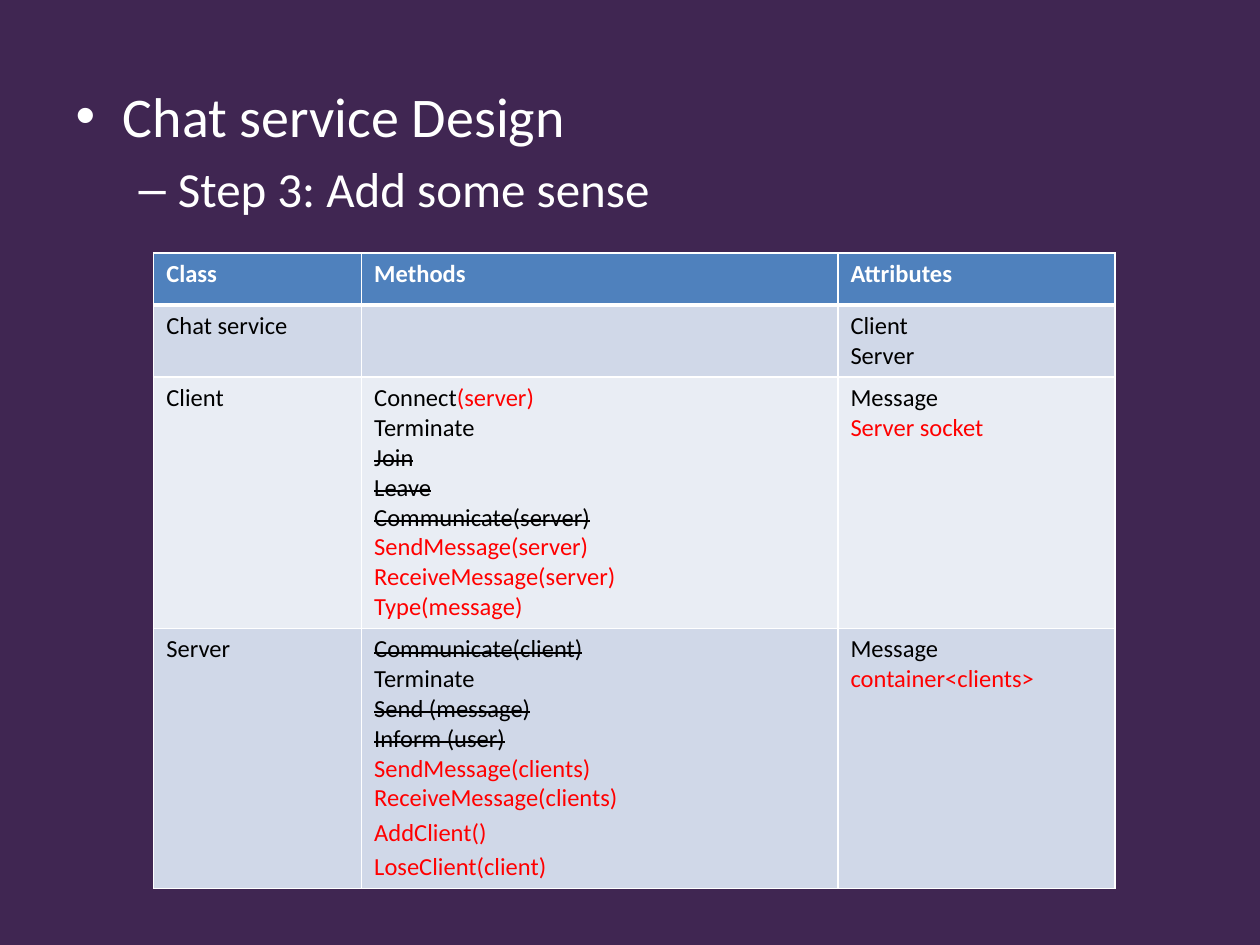
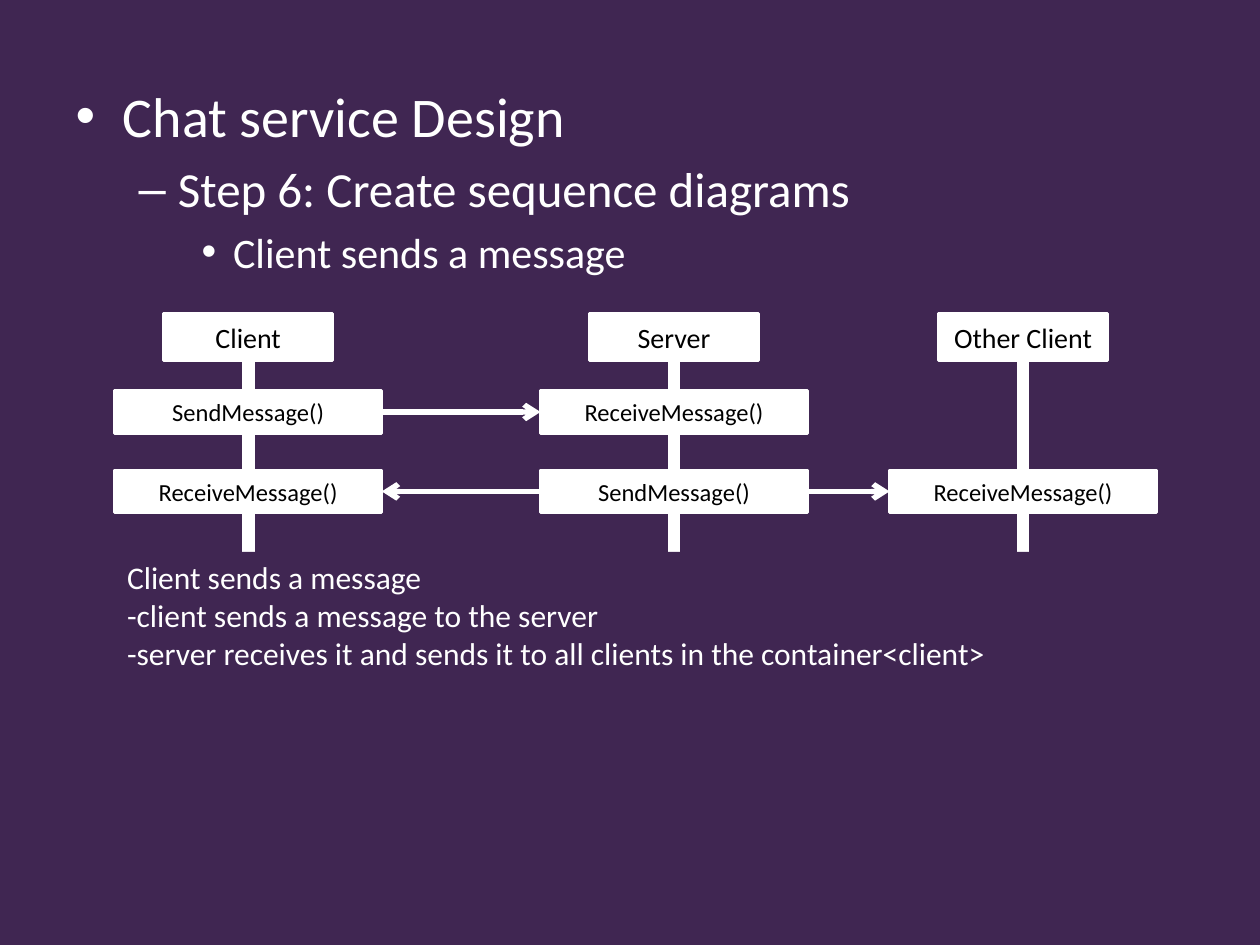
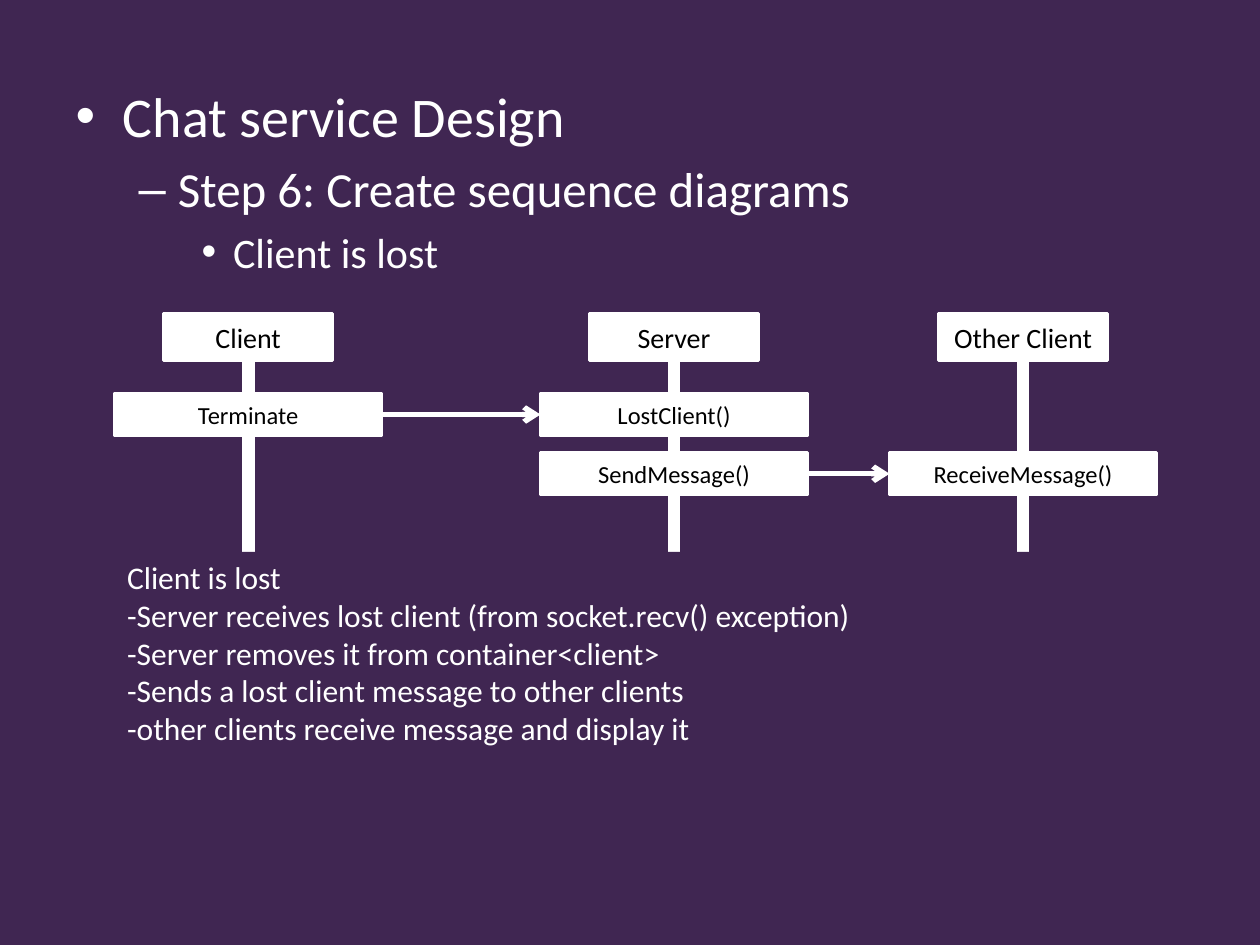
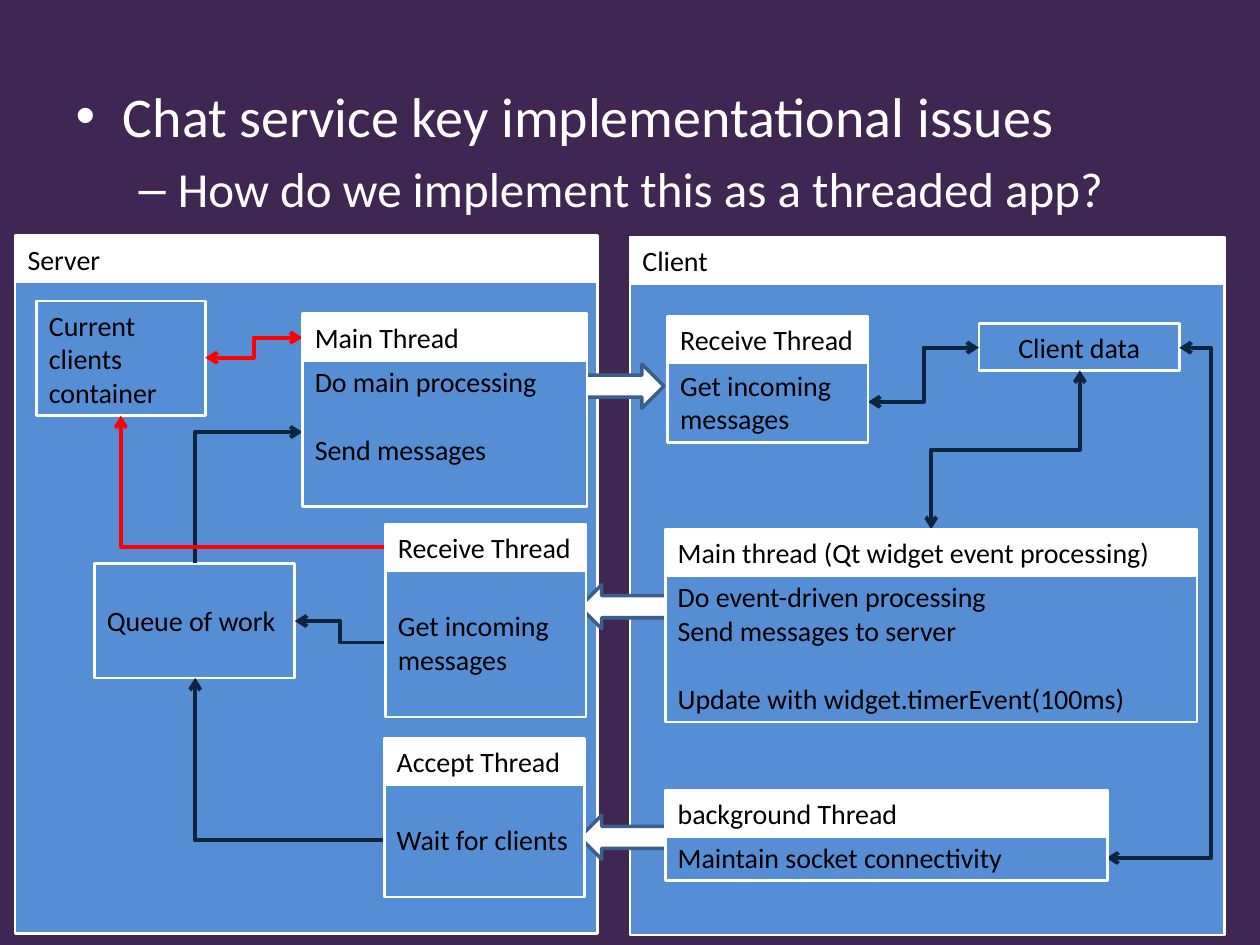
from dataclasses import dataclass

from pptx import Presentation
from pptx.dml.color import RGBColor
from pptx.enum.shapes import MSO_CONNECTOR, MSO_SHAPE
from pptx.enum.text import MSO_ANCHOR, PP_ALIGN
from pptx.oxml.ns import qn
from pptx.oxml.xmlchemy import OxmlElement
from pptx.util import Emu, Pt

EMU_PER_PX = 9144  # 100 px to the inch


@dataclass(frozen=True)
class Theme:
    font: str = "Calibri"
    background: str = "402652"
    white: str = "FFFFFF"
    black: str = "000000"
    red: str = "FF0000"
    navy: str = "0F243E"
    panel: str = "558ED5"
    arrow_edge: str = "3A5F8C"
    table_header: str = "4F81BD"
    table_bands: tuple[str, str] = ("D0D8E8", "E9EDF4")
    outline_sizes: tuple[int, int, int] = (32, 28, 24)
    description_size: int = 18
    label_size: int = 16
    small_size: int = 14
    blank_line: int = 20
    box_line: float = 1.5
    arrow_line: float = 3
    elbow_line: float = 2.25


THEME = Theme()


@dataclass(frozen=True)
class Span:
    text: str
    color: str = THEME.black
    struck: bool = False


@dataclass(frozen=True)
class Line:
    spans: tuple[Span, ...]
    spacing: float | None = None


@dataclass(frozen=True)
class Box:
    left: int
    top: int
    width: int
    height: int
    lines: tuple[str, ...] = ()
    fill: str = THEME.white
    line: str | None = THEME.white
    color: str = THEME.black
    size: int = THEME.label_size
    align: PP_ALIGN = PP_ALIGN.LEFT
    anchor: MSO_ANCHOR = MSO_ANCHOR.MIDDLE
    gap_line: int = 0  # index of the line set off by a gap, 0 for none


@dataclass(frozen=True)
class TitledBox:
    title: str
    left: int
    top: int
    width: int
    body_height: int
    lines: tuple[str, ...] = ()
    anchor: MSO_ANCHOR = MSO_ANCHOR.MIDDLE
    gap_line: int = 0
    body_offset: int = 35


@dataclass(frozen=True)
class Elbow:
    start: tuple[int, int]
    end: tuple[int, int]
    color: str = THEME.navy
    both_heads: bool = False
    corners: int = 2
    vertical_first: bool = False
    bend: float = 0.5


@dataclass(frozen=True)
class CallRow:
    top: int
    calls: dict[str, str]
    messages: tuple[tuple[str, str], ...]


@dataclass(frozen=True)
class BlockArrow:
    left: int
    top: int
    rotation: int = 0


def px(value: float) -> Emu:
    return Emu(round(value * EMU_PER_PX))


def rgb(color: str) -> RGBColor:
    return RGBColor.from_string(color)


def format_run(run, size: int, color: str, bold: bool = False) -> None:
    run.font.name = THEME.font
    run.font.size = Pt(size)
    run.font.color.rgb = rgb(color)
    run.font.bold = bold


def add_outline_slide(presentation, *outline: str):
    """Add a slide whose body holds one line per outline level."""
    slide = presentation.slides.add_slide(presentation.slide_layouts[1])
    title = slide.shapes.title._element
    title.getparent().remove(title)
    body = slide.placeholders[1]
    body.left, body.top, body.width, body.height = map(px, (50, 60, 900, 669))
    body.text_frame.text = "\n".join(outline)
    for level, paragraph in enumerate(body.text_frame.paragraphs):
        paragraph.level = level
        format_run(paragraph.runs[0], THEME.outline_sizes[level], THEME.white)
    return slide


def add_preset(slide, preset: MSO_SHAPE, bounds: tuple[int, ...], fill: str,
               line: str | None, line_width: float):
    shape = slide.shapes.add_shape(preset, *map(px, bounds))
    shape.shadow.inherit = False
    shape.fill.solid()
    shape.fill.fore_color.rgb = rgb(fill)
    if line:
        shape.line.color.rgb = rgb(line)
        shape.line.width = Pt(line_width)
    else:
        shape.line.fill.background()
    return shape


def add_box(slide, box: Box) -> None:
    bounds = (box.left, box.top, box.width, box.height)
    shape = add_preset(slide, MSO_SHAPE.RECTANGLE, bounds, box.fill, box.line,
                       THEME.box_line)
    if not box.lines:
        return
    text_frame = shape.text_frame
    text_frame.word_wrap = True
    text_frame.vertical_anchor = box.anchor
    text_frame.text = "\n".join(box.lines)
    for index, paragraph in enumerate(text_frame.paragraphs):
        paragraph.alignment = box.align
        if box.gap_line and index == box.gap_line:
            paragraph.space_before = Pt(THEME.blank_line)
        format_run(paragraph.runs[0], box.size, box.color)


def add_titled_box(slide, item: TitledBox) -> None:
    add_box(slide, Box(item.left, item.top + item.body_offset, item.width,
                       item.body_height, item.lines, THEME.panel,
                       anchor=item.anchor, gap_line=item.gap_line))
    add_box(slide, Box(item.left, item.top, item.width, 37, (item.title,)))


def style_connector(connector, color: str, width: float, both_heads: bool = False) -> None:
    connector.line.color.rgb = rgb(color)
    connector.line.width = Pt(width)
    line = connector.line._get_or_add_ln()
    for tag in ("a:headEnd", "a:tailEnd") if both_heads else ("a:tailEnd",):
        end = OxmlElement(tag)
        end.set("type", "arrow")
        line.append(end)
    connector._element.spPr.append(OxmlElement("a:effectLst"))


def add_arrow(slide, start: tuple[int, int], end: tuple[int, int]) -> None:
    connector = slide.shapes.add_connector(
        MSO_CONNECTOR.STRAIGHT, *map(px, (*start, *end)))
    style_connector(connector, THEME.white, THEME.arrow_line)


def add_elbow(slide, elbow: Elbow) -> None:
    """Draw a bent arrow; one leaving vertically is laid flat, then turned 90°."""
    (x1, y1), (x2, y2) = elbow.start, elbow.end
    if elbow.vertical_first:
        center_x, center_y = (x1 + x2) / 2, (y1 + y2) / 2
        half_x, half_y = (y2 - y1) / 2, (x1 - x2) / 2
        x1, x2 = center_x - half_x, center_x + half_x
        y1, y2 = center_y - half_y, center_y + half_y
    connector = slide.shapes.add_connector(
        MSO_CONNECTOR.ELBOW, *map(px, (x1, y1, x2, y2)))
    properties = connector._element.spPr
    if elbow.vertical_first:
        properties.find(qn("a:xfrm")).set("rot", "5400000")
    geometry = properties.find(qn("a:prstGeom"))
    geometry.set("prst", f"bentConnector{elbow.corners + 1}")
    if elbow.bend != 0.5:
        guide = OxmlElement("a:gd")
        guide.set("name", "adj1")
        guide.set("fmla", f"val {round(elbow.bend * 100000)}")
        geometry.find(qn("a:avLst")).append(guide)
    style_connector(connector, elbow.color, THEME.elbow_line, elbow.both_heads)


def set_borders(cell, widths: dict[str, float]) -> None:
    """Add white cell borders; widths must be in the order L, R, T, B."""
    properties = cell._tc.get_or_add_tcPr()
    for side, width in widths.items():
        border = OxmlElement(f"a:ln{side}")
        border.set("w", str(Pt(width)))
        fill = OxmlElement("a:solidFill")
        color = OxmlElement("a:srgbClr")
        color.set("val", THEME.white)
        fill.append(color)
        border.append(fill)
        properties.append(border)


def fill_cell(cell, lines: tuple[Line, ...], bold: bool) -> None:
    for index, line in enumerate(lines):
        text_frame = cell.text_frame
        paragraph = text_frame.add_paragraph() if index else text_frame.paragraphs[0]
        if line.spacing:
            paragraph.line_spacing = line.spacing
        for span in line.spans:
            run = paragraph.add_run()
            run.text = span.text
            format_run(run, THEME.small_size, span.color, bold)
            if span.struck:
                run._r.get_or_add_rPr().set("strike", "sngStrike")


def kept(*texts: str) -> tuple[Line, ...]:
    return tuple(Line((Span(text),)) for text in texts)


def struck(*texts: str) -> tuple[Line, ...]:
    return tuple(Line((Span(text, struck=True),)) for text in texts)


def added(*texts: str, spacing: float | None = None) -> tuple[Line, ...]:
    return tuple(Line((Span(text, THEME.red),), spacing) for text in texts)


def heading(text: str) -> tuple[Line, ...]:
    return (Line((Span(text, THEME.white),)),)


CLASS_ROWS = (
    (heading("Class"), heading("Methods"), heading("Attributes")),
    (kept("Chat service"), (), kept("Client", "Server")),
    (
        kept("Client"),
        (Line((Span("Connect"), Span("(server)", THEME.red))),)
        + kept("Terminate")
        + struck("Join", "Leave", "Communicate(server)")
        + added("SendMessage(server)", "ReceiveMessage(server)", "Type(message)"),
        kept("Message") + added("Server socket"),
    ),
    (
        kept("Server"),
        struck("Communicate(client)")
        + kept("Terminate")
        + struck("Send (message)", "Inform (user)")
        + added("SendMessage(clients)", "ReceiveMessage(clients)")
        + added("AddClient()", "LoseClient(client)", spacing=1.15),
        kept("Message") + added("container<clients>"),
    ),
)
COLUMN_WIDTHS = (165, 378, 220)
ROW_HEIGHTS = (41, 57, 195, 203)


def build_class_table(presentation) -> None:
    slide = add_outline_slide(presentation, "Chat service Design", "Step 3: Add some sense")
    table = slide.shapes.add_table(
        len(ROW_HEIGHTS), len(COLUMN_WIDTHS), px(122), px(201),
        px(sum(COLUMN_WIDTHS)), px(sum(ROW_HEIGHTS))).table
    for column, width in zip(table.columns, COLUMN_WIDTHS):
        column.width = px(width)
    for row_index, (height, row) in enumerate(zip(ROW_HEIGHTS, CLASS_ROWS)):
        table.rows[row_index].height = px(height)
        is_header = row_index == 0
        fill = THEME.table_header if is_header else THEME.table_bands[(row_index - 1) % 2]
        borders = {"L": 1, "R": 1, "T": 3 if row_index == 1 else 1, "B": 3 if is_header else 1}
        for column_index, lines in enumerate(row):
            cell = table.cell(row_index, column_index)
            set_borders(cell, borders)
            cell.fill.solid()
            cell.fill.fore_color.rgb = rgb(fill)
            fill_cell(cell, lines, is_header)


LANE_CENTERS = {"Client": 197, "Server": 535, "Other Client": 812}
HEAD_WIDTH, CALL_WIDTH, CALL_HEIGHT, LIFELINE_WIDTH = 134, 212, 34, 8


def build_sequence(presentation, scenario: str, rows: tuple[CallRow, ...],
                   steps: tuple[str, ...]) -> None:
    slide = add_outline_slide(presentation, "Chat service Design",
                              "Step 6: Create sequence diagrams", scenario)
    for name, center in LANE_CENTERS.items():
        add_box(slide, Box(center - LIFELINE_WIDTH // 2, 281, LIFELINE_WIDTH, 387))
        add_box(slide, Box(center - HEAD_WIDTH // 2, 249, HEAD_WIDTH, 37, (name,),
                           align=PP_ALIGN.CENTER))
    for row in rows:
        for lane, call in row.calls.items():
            add_box(slide, Box(LANE_CENTERS[lane] - CALL_WIDTH // 2, row.top,
                               CALL_WIDTH, CALL_HEIGHT, (call,),
                               size=THEME.small_size, align=PP_ALIGN.CENTER))
        middle = row.top + CALL_HEIGHT // 2
        for sender, receiver in row.messages:
            start, end = LANE_CENTERS[sender], LANE_CENTERS[receiver]
            reach = CALL_WIDTH // 2 if end > start else -CALL_WIDTH // 2
            add_arrow(slide, (start + reach, middle), (end - reach, middle))
    add_box(slide, Box(91, 438, 811, 252, (scenario, *steps), THEME.background, None,
                       THEME.white, THEME.description_size, anchor=MSO_ANCHOR.TOP))


SEND_ROWS = (
    CallRow(310, {"Client": "SendMessage()", "Server": "ReceiveMessage()"},
            (("Client", "Server"),)),
    CallRow(373, {"Client": "ReceiveMessage()", "Server": "SendMessage()",
                  "Other Client": "ReceiveMessage()"},
            (("Server", "Client"), ("Server", "Other Client"))),
)
SEND_STEPS = (
    "-client sends a message to the server",
    "-server receives it and sends it to all clients in the container<client>",
)
LOST_ROWS = (
    CallRow(312, {"Client": "Terminate", "Server": "LostClient()"},
            (("Client", "Server"),)),
    CallRow(359, {"Server": "SendMessage()", "Other Client": "ReceiveMessage()"},
            (("Server", "Other Client"),)),
)
LOST_STEPS = (
    "-Server receives lost client (from socket.recv() exception)",
    "-Server removes it from container<client>",
    "-Sends a lost client message to other clients",
    "-other clients receive message and display it",
)

PROCESSES = (
    TitledBox("Client", 500, 188, 472, 522, body_offset=32),
    TitledBox("Server", 12, 187, 462, 522, body_offset=32),
)
DATA_BOXES = (
    Box(75, 447, 159, 91, ("Queue of work",), THEME.panel),
    Box(29, 239, 134, 91, ("Current clients container",), THEME.panel),
    Box(777, 257, 159, 37, ("Client data",), THEME.panel, align=PP_ALIGN.CENTER),
)
DATA_FLOWS = (
    Elbow((689, 319), (777, 276), both_heads=True),
    Elbow((857, 294), (739, 420), both_heads=True, vertical_first=True),
    Elbow((878, 681), (936, 276), both_heads=True, bend=1.43),
    Elbow((306, 510), (234, 493)),
    Elbow((155, 447), (240, 343), corners=1, vertical_first=True),
    Elbow((306, 434), (96, 330), THEME.red, corners=1),
    Elbow((163, 284), (240, 268), THEME.red, both_heads=True),
    Elbow((305, 667), (155, 538), corners=1),
)
SOCKET_ARROWS = (
    BlockArrow(432, 289),
    BlockArrow(460, 647, 180),
    BlockArrow(460, 464, 180),
)
THREADS = (
    TitledBox("Main thread (Qt widget event processing)", 528, 420, 422, 118,
              ("Do event-driven processing", "Send messages to server",
               "Update with widget.timerEvent(100ms)"), gap_line=2),
    TitledBox("Receive Thread", 530, 251, 159, 64, ("Get incoming messages",),
              body_offset=36),
    TitledBox("background Thread", 528, 627, 351, 37, ("Maintain socket connectivity",)),
    TitledBox("Main Thread", 240, 249, 226, 118, ("Do main processing", "Send messages"),
              anchor=MSO_ANCHOR.TOP, gap_line=1),
    TitledBox("Receive Thread", 306, 416, 159, 118, ("Get incoming messages",)),
    TitledBox("Accept Thread", 305, 586, 159, 91, ("Wait for clients",)),
)


def build_threads(presentation) -> None:
    slide = add_outline_slide(presentation, "Chat service key implementational issues",
                              "How do we implement this as a threaded app?")
    for process in PROCESSES:
        add_titled_box(slide, process)
    for box in DATA_BOXES:
        add_box(slide, box)
    for flow in DATA_FLOWS:
        add_elbow(slide, flow)
    for arrow in SOCKET_ARROWS:
        shape = add_preset(slide, MSO_SHAPE.RIGHT_ARROW, (arrow.left, arrow.top, 95, 35),
                           THEME.white, THEME.arrow_edge, 2)
        shape.rotation = arrow.rotation
    for thread in THREADS:
        add_titled_box(slide, thread)


def main() -> None:
    presentation = Presentation()
    presentation.slide_width, presentation.slide_height = px(1000), px(750)
    background = presentation.slide_master.background.fill
    background.solid()
    background.fore_color.rgb = rgb(THEME.background)
    build_class_table(presentation)
    build_sequence(presentation, "Client sends a message", SEND_ROWS, SEND_STEPS)
    build_sequence(presentation, "Client is lost", LOST_ROWS, LOST_STEPS)
    build_threads(presentation)
    presentation.save("out.pptx")


if __name__ == "__main__":
    main()
